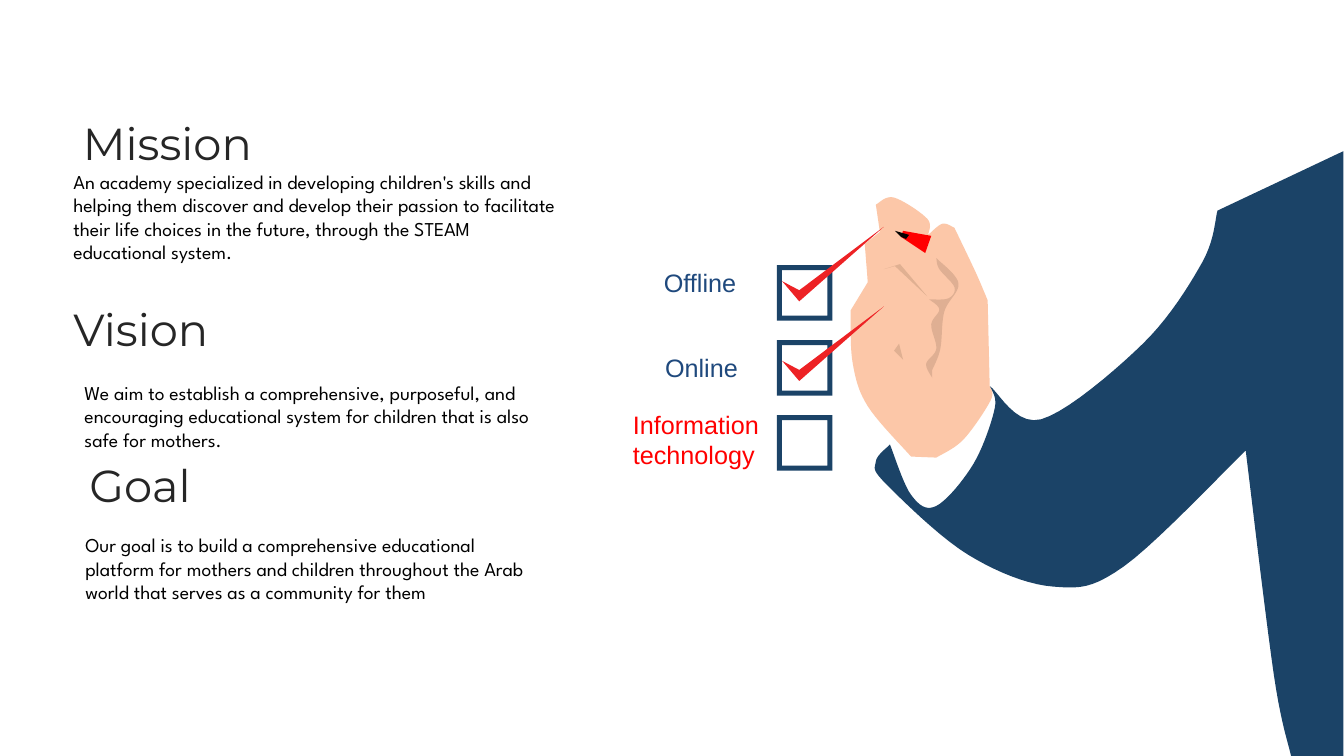
"""Build the mission, vision and goal slide with a hand ticking boxes."""
import pptx
import pptx.util
import pptx.dml.color
import pptx.enum.shapes
import pptx.enum.text
import pptx.oxml.ns
from lxml import etree

Cm, Pt = pptx.util.Cm, pptx.util.Pt
RGBColor = pptx.dml.color.RGBColor
Anchor = pptx.enum.text.MSO_ANCHOR
Align = pptx.enum.text.PP_ALIGN
Fit = pptx.enum.text.MSO_AUTO_SIZE

NAVY = RGBColor(0x1B, 0x43, 0x67)
BLUE = RGBColor(0x1F, 0x49, 0x7D)
SKIN = RGBColor(0xFC, 0xC7, 0xA8)
SHADE = RGBColor(0xDF, 0xAF, 0x93)
CREASE = RGBColor(0xE0, 0xB0, 0x92)
TICK = RGBColor(0xED, 0x22, 0x25)
RED = RGBColor(0xFF, 0x00, 0x00)
DARK = RGBColor(0x26, 0x26, 0x26)
INK = RGBColor(0x03, 0x02, 0x01)
BLACK = RGBColor(0x00, 0x00, 0x00)

HEAD = {"name": "Montserrat", "size": Pt(32)}
BODY = {"name": "League Spartan", "size": Pt(14)}
LABEL = {"name": "Arial", "size": Pt(18)}
TOP, MID = Anchor.TOP, Anchor.MIDDLE

HEADS = [("Mission", (1.17, 2.67, 6.1, 2.01)),
         ("Goal", (0.48, 11.28, 6.1, 2.01))]
TEXTS = [
    ("Vision", (1.85, 7.47, 9.42, 1.63), HEAD, DARK, TOP, 0, True),
    ("An academy specialized in developing children's skills and helping "
     "them discover and develop their passion to facilitate their life "
     "choices in the future, through the STEAM educational system.",
     (1.6, 4.14, 12.98, 2.64), BODY, BLACK, MID, 0.25, True),
    ("We aim to establish a comprehensive, purposeful, and encouraging "
     "educational system for children that is also safe for mothers.",
     (2.13, 9.47, 11.71, 2.06), BODY, BLACK, TOP, 0, True),
    ("Our goal is to build a comprehensive educational platform for mothers "
     "and children throughout the Arab world that serves as a community "
     "for them", (1.9, 13.31, 11.96, 2.64), BODY, BLACK, TOP, 0.25, True),
    ("Online", (16.51, 8.76, 2.36, 1.02), LABEL, BLUE, TOP, 0.25, False),
    ("Offline", (16.48, 6.6, 2.36, 1.02), LABEL, BLUE, TOP, 0.25, False),
    ("Information technology", (15.7, 10.19, 5.66, 1.8), LABEL, RED, TOP,
     0.25, True),
]

UNIT = Cm(0.0254)
ARM = [
    [(1333, 750)], [(1281, 750)], [(1264, 670), (1236, 447)],
    [(1115, 562), (1045, 582), (960, 550), (879, 480), (869, 458), (883, 441)],
    [(904, 491), (929, 502), (966, 460), (987, 405), (982, 383)],
    [(1033, 416), (1134, 341), (1193, 260), (1208, 209)], [(1333, 150)]]
HAND = [
    [(982, 383)], [(983, 397), (956, 436), (929, 454)], [(904, 453)],
    [(861, 403), (846, 360), (844, 308)], [(861, 280)], [(858, 242)],
    [(873, 230)], [(869, 203)], [(887, 196), (920, 217), (921, 233)],
    [(935, 222), (947, 226)], [(968, 270), (980, 298)]]
CHECK = [[(776, 358)], [(793, 367)], [(877, 304)], [(793, 378)]]
PEN = [[(896, 229)], [(924, 234)], [(918, 251)], [(894, 235)]]
PALM = [
    [(925, 375)], [(919, 361), (929, 346), (924, 322), (932, 307), (922, 297)],
    [(941, 296), (947, 285), (932, 267), (929, 256)],
    [(951, 281), (937, 309), (933, 346), (925, 367)]]
FOLD = [[(920, 294)], [(888, 264)], [(877, 267)], [(893, 262)]]
DENT = [[(892, 341)], [(896, 357)], [(887, 348)]]
NIB = [[(888, 229)], [(902, 233)], [(899, 237)], [(894, 235)]]
PARTS = [(ARM, NAVY, 0), (HAND, SKIN, 0), (CHECK, TICK, 0), (CHECK, TICK, -79),
         (PEN, RED, 0), (PALM, SHADE, 0), (FOLD, CREASE, 0), (DENT, CREASE, 0),
         (NIB, INK, 0)]
BOX = {"left": 19.58, "top": 6.68, "size": 1.4, "step": 1.89, "count": 3}


def put(item, vals):
    """Set each named value on an item."""
    for key, val in vals.items():
        setattr(item, key, val)


def paint(shape, tint):
    """Fill a shape flat, with no line or shadow."""
    shape.shadow.inherit = False
    shape.fill.solid()
    shape.fill.fore_color.rgb = tint
    shape.line.fill.background()


def blend(a, b, c, d, t):
    """Return the value at t on a smooth curve from b to c."""
    return b + t / 2 * (c - a + t * (2 * a - 5 * b + 4 * c - d
                                     + t * (3 * (b - c) + d - a)))


def trace(runs, drop, steps=10):
    """Join smooth runs, with a corner between each two, into close points."""
    out = [runs[0][0]]
    for run in runs[1:]:
        knots = [out[-1], out[-1], *run, run[-1]]
        for four in zip(knots, knots[1:], knots[2:], knots[3:]):
            for n in range(1, steps + 1):
                out.append(tuple(blend(*axis, n / steps) for axis in zip(*four)))
    return [(round(x * UNIT), round((y + drop) * UNIT)) for x, y in out]


def write(shape, text, font, tint, frame):
    """Put one formatted paragraph in a shape and return it."""
    put(shape.text_frame, frame)
    para = shape.text_frame.paragraphs[0]
    run = para.add_run()
    run.text = text
    put(run.font, font)
    run.font.color.rgb = tint
    return para


def main():
    """Draw the slide and save it."""
    deck = pptx.Presentation()
    put(deck, {"slide_width": Cm(33.87), "slide_height": Cm(19.05)})
    slide = deck.slides.add_slide(deck.slide_layouts[1])

    for hold, (text, area) in zip(slide.placeholders, HEADS):
        put(hold, dict(zip(("left", "top", "width", "height"), map(Cm, area))))
        para = write(hold, text, HEAD, DARK, {
            "vertical_anchor": MID, "word_wrap": True, "auto_size": Fit.NONE})
        put(para, {"alignment": Align.CENTER, "line_spacing": 0.9,
                   "space_before": Pt(10)})
        props = para._p.get_or_add_pPr()
        props.set("marL", "0")
        props.set("indent", "0")
        etree.SubElement(props, pptx.oxml.ns.qn("a:buNone"))

    art = slide.shapes.add_group_shape().shapes
    side = Cm(BOX["size"])
    for row in range(BOX["count"]):
        box = art.add_shape(pptx.enum.shapes.MSO_SHAPE.FRAME, Cm(BOX["left"]),
                            Cm(BOX["top"] + row * BOX["step"]), side, side)
        box.adjustments[0] = 0.09
        paint(box, NAVY)
    for runs, tint, drop in PARTS:
        first, *rest = trace(runs, drop)
        form = art.build_freeform(*first)
        form.add_line_segments(rest, close=True)
        paint(form.convert_to_shape(), tint)

    for text, area, font, tint, anchor, inset, wrap in TEXTS:
        write(slide.shapes.add_textbox(*map(Cm, area)), text, font, tint, {
            "vertical_anchor": anchor, "margin_left": Cm(inset),
            "word_wrap": wrap, "auto_size": Fit.SHAPE_TO_FIT_TEXT})
    deck.save("out.pptx")


if __name__ == "__main__":
    main()
